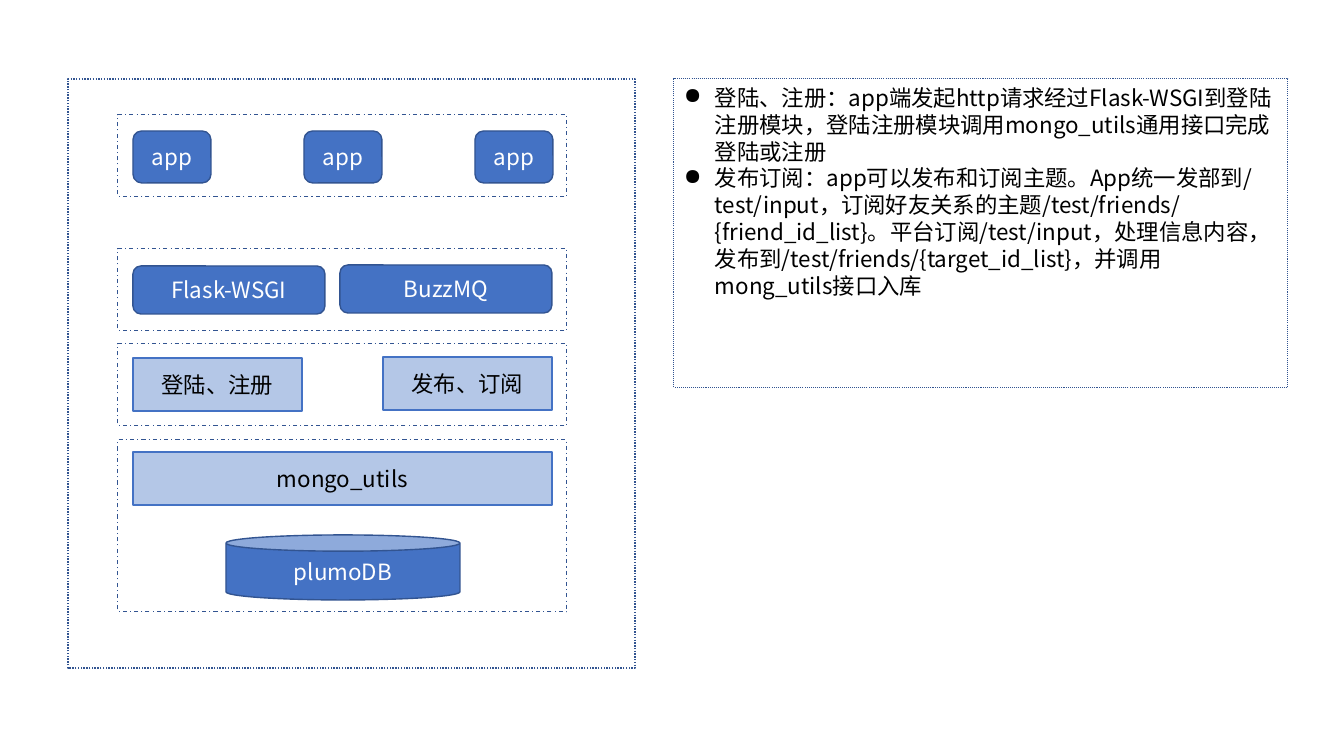
"""Build a slide with a layered app architecture and notes on its flows."""
from lxml import etree
from pptx import Presentation, util as u
from pptx.dml import color
from pptx.enum import dml, shapes, text
from pptx.oxml import ns

SCALE = 914400 / 100.8
FONT = "Noto Sans CJK SC"
HUES = {"blue": "4472C4", "pale": "B4C7E7", "navy": "325491",
        "white": "FFFFFF", "black": "000000"}
KIND = shapes.MSO_SHAPE
DASH = dml.MSO_LINE
FLOWS = [
    "登陆、注册:app端发起http请求经过Flask-WSGI到登陆注册模块,"
    "登陆注册模块调用mongo_utils通用接口完成登陆或注册",
    "发布订阅:app可以发布和订阅主题。App统一发部到/test/input,"
    "订阅好友关系的主题/test/friends/{friend_id_list}。平台订阅/test/input,"
    "处理信息内容,发布到/test/friends/{target_id_list},并调用mong_utils接口入库",
]
FLOWS = [flow.replace(":", "\uff1a").replace(",", "\uff0c") for flow in FLOWS]


def px(num):
    return u.Emu(round(num * SCALE))


def rgb(name):
    return color.RGBColor.from_string(HUES[name])


def node(slide, kind, area, fill=None, line="navy", width=1, dash=None):
    shape = slide.shapes.add_shape(kind, *map(px, area))
    shape.shadow.inherit = False
    if fill:
        shape.fill.solid()
        shape.fill.fore_color.rgb = rgb(fill)
    else:
        shape.fill.background()
    shape.line.color.rgb = rgb(line)
    shape.line.width = u.Pt(width)
    if dash:
        shape.line.dash_style = dash
    return shape


def bullet(para, indent):
    props = para._p.get_or_add_pPr()
    props.set("marL", str(px(indent)))
    props.set("indent", str(-px(indent)))
    etree.SubElement(props, ns.qn("a:buChar")).set("char", "●")


def write(shape, lines, hue="black", size=16, align=text.PP_ALIGN.CENTER,
          anchor=text.MSO_ANCHOR.MIDDLE, indent=0):
    frame = shape.text_frame
    frame.word_wrap = True
    frame.vertical_anchor = anchor
    for i, line in enumerate(lines):
        para = frame.add_paragraph() if i else frame.paragraphs[0]
        para.alignment = align
        if indent:
            bullet(para, indent)
        run = para.add_run()
        run.text = line
        run.font.size = u.Pt(size)
        run.font.name = FONT
        run.font.color.rgb = rgb(hue)
        props = run._r.get_or_add_rPr()
        etree.SubElement(props, ns.qn("a:ea")).set("typeface", FONT)


def frames(slide):
    for top, high in ((115, 82), (249, 82), (344, 82), (440, 172)):
        node(slide, KIND.RECTANGLE, (118, top, 449, high),
             width=0.75, dash=DASH.DASH_DOT)
    node(slide, KIND.RECTANGLE, (68, 79, 567, 589), dash=DASH.ROUND_DOT)


def service(slide, label, area, kind=KIND.ROUNDED_RECTANGLE):
    write(node(slide, kind, area, "blue"), [label], hue="white")


def module(slide, label, area):
    write(node(slide, KIND.RECTANGLE, area, "pale", "blue"), [label])


def notes(slide):
    box = node(slide, KIND.RECTANGLE, (674, 79, 614, 309),
               width=0.75, dash=DASH.ROUND_DOT)
    write(box, FLOWS, align=text.PP_ALIGN.LEFT,
          anchor=text.MSO_ANCHOR.TOP, indent=31)


def main():
    deck = Presentation()
    deck.slide_width, deck.slide_height = px(1344), px(756)
    slide = deck.slides.add_slide(deck.slide_layouts[6])
    frames(slide)
    for i in range(3):
        service(slide, "app", (133 + 171 * i, 131, 78, 52))
    service(slide, "Flask-WSGI", (133, 266, 192, 48))
    service(slide, "BuzzMQ", (340, 265, 212, 48))
    module(slide, "登陆、注册", (133, 358, 169, 53))
    module(slide, "发布、订阅", (383, 357, 169, 53))
    module(slide, "mongo_utils", (133, 452, 419, 53))
    service(slide, "plumoDB", (226, 535, 234, 65), KIND.CAN)
    notes(slide)
    deck.save("out.pptx")


main()
